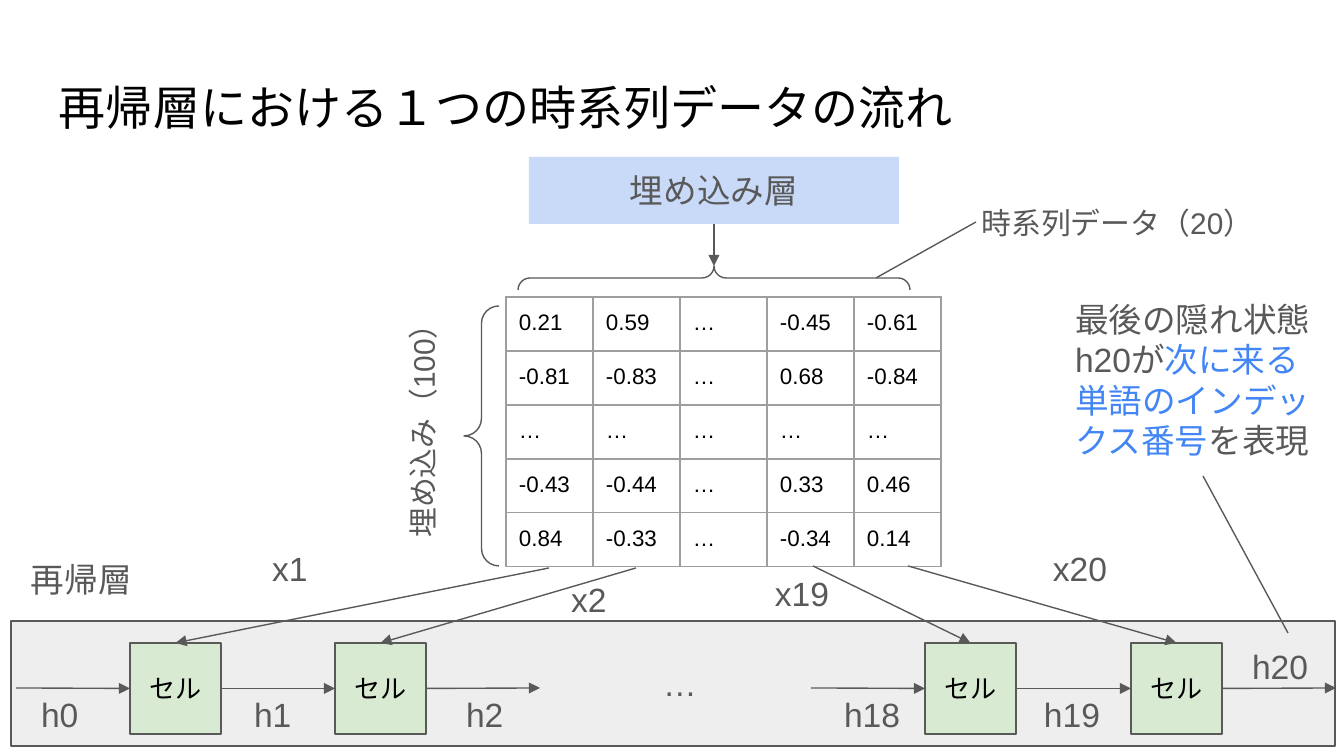
import pptx
import pptx.util
import pptx.dml.color
import pptx.enum.shapes
import pptx.enum.text
import pptx.oxml
import pptx.oxml.ns

SHAPE = pptx.enum.shapes.MSO_SHAPE
ALIGN = pptx.enum.text.PP_ALIGN
ANCHOR = pptx.enum.text.MSO_ANCHOR

SCALE = 914400 / 134.4
COLORS = {"panel": "EEEEEE", "embedding": "C9DAF8", "cell": "D9EAD3", "gray": "595959",
          "black": "000000", "blue": "4285F4", "border": "9E9E9E"}
FONT = "Arial"
LINE_WIDTH = 0.75
INSET = 13

TITLE = "再帰層における１つの時系列データの流れ"
MATRIX = [
    ["0.21", "0.59", "…", "-0.45", "-0.61"],
    ["-0.81", "-0.83", "…", "0.68", "-0.84"],
    ["…", "…", "…", "…", "…"],
    ["-0.43", "-0.44", "…", "0.33", "0.46"],
    ["0.84", "-0.33", "…", "-0.34", "0.14"],
]
TABLE_LEFT, TABLE_TOP, COL_W, ROW_H = 506, 297, 87, 54

PANEL = (11, 621, 1324, 125)
EMBEDDING = (529, 157, 370, 67)
CELL_LEFTS = [130, 335, 925, 1131]
CELL_TOP, CELL_SIZE = 643, 91
ARROW_LEN = 114
BRACES = [((464, 306, 35, 260), 0), ((702, 82, 24, 392), 90)]

LABEL_H = 67
LABELS = [  # text, left, top, width
    ("h0", 28, 681, 77), ("h1", 241, 681, 77), ("h2", 453, 681, 77),
    ("h18", 831, 681, 97), ("h19", 1031, 681, 105), ("h20", 1239, 633, 97),
    ("x1", 259, 535, 77), ("x2", 558, 566, 77),
    ("x19", 762, 560, 91), ("x20", 1040, 535, 91),
    ("再帰層", 18, 546, 134), ("…", 650, 650, 77),
]
AXIS_LABELS = [("埋め込み（100）", (288, 392, 271, 63), 270),
               ("時系列データ（20）", (926, 192, 383, 63), 0)]
CONCLUSION = [("最後の隠れ状態h20が", "gray"), ("次に来る単語のインデックス番号", "blue"),
              ("を表現", "gray")]
INPUT_STARTS = [(549, 568), (636, 568), (813, 566), (908, 566)]
POINTERS = [((976, 222), (876, 278)), ((1203, 476), (1288, 633))]


def px(n):
    return round(n * SCALE)


def box_emu(box):
    return [px(n) for n in box]


def rgb(name):
    return pptx.dml.color.RGBColor.from_string(COLORS[name])


def write(tf, runs, size, align=ALIGN.LEFT, anchor=ANCHOR.TOP):
    """Fill a text frame with one paragraph of (text, colour) runs."""
    frame = {"word_wrap": True, "vertical_anchor": anchor}
    frame.update({f"margin_{side}": px(INSET) for side in ("left", "right", "top", "bottom")})
    for name, value in frame.items():
        setattr(tf, name, value)
    p = tf.paragraphs[0]
    p.alignment = align
    for text, color in runs:
        r = p.add_run()
        r.text = text
        for name, value in {"name": FONT, "size": pptx.util.Pt(size)}.items():
            setattr(r.font, name, value)
        r.font.color.rgb = rgb(color)


def add_text(s, box, runs, size, align=ALIGN.LEFT, rotation=0):
    sp = s.shapes.add_textbox(*box_emu(box))
    sp.rotation = rotation
    write(sp.text_frame, runs, size, align)


def draw_line(line):
    line.color.rgb = rgb("gray")
    line.width = pptx.util.Pt(LINE_WIDTH)


def add_shape(s, kind, box, fill=None, outlined=True):
    sp = s.shapes.add_shape(kind, *box_emu(box))
    sp.shadow.inherit = False
    if fill:
        sp.fill.solid()
        sp.fill.fore_color.rgb = rgb(fill)
    else:
        sp.fill.background()
    if outlined:
        draw_line(sp.line)
    else:
        sp.line.fill.background()
    return sp


def add_line(s, start, end, arrow=True):
    """Join two ends, each a point or a (shape, side) pair."""
    points = [e if isinstance(e[0], int) else (0, 0) for e in (start, end)]
    c = s.shapes.add_connector(pptx.enum.shapes.MSO_CONNECTOR.STRAIGHT,
                               *box_emu(points[0] + points[1]))
    for e, connect in ((start, c.begin_connect), (end, c.end_connect)):
        if not isinstance(e[0], int):
            connect(*e)
    draw_line(c.line)
    qn = pptx.oxml.ns.qn
    if arrow:
        ln = c.line._get_or_add_ln()
        ln.append(ln.makeelement(qn("a:tailEnd"), {"type": "triangle"}))
    props = c._element.spPr
    props.append(props.makeelement(qn("a:effectLst"), {}))


def add_matrix(s):
    rows, cols = len(MATRIX), len(MATRIX[0])
    box = (TABLE_LEFT, TABLE_TOP, cols * COL_W, rows * ROW_H)
    table = s.shapes.add_table(rows, cols, *box_emu(box)).table
    table.first_row = table.horz_banding = False
    for col in table.columns:
        col.width = px(COL_W)
    for row, values in zip(table.rows, MATRIX):
        row.height = px(ROW_H)
        for cell, value in zip(row.cells, values):
            cell.fill.background()
            write(cell.text_frame, [(value, "black")], 12)
            for side in ("left", "right", "top", "bottom"):
                setattr(cell, f"margin_{side}", px(INSET))
            props = cell._tc.get_or_add_tcPr()
            for i, side in enumerate("LRTB"):
                props.insert(i, pptx.oxml.parse_xml(
                    f'<a:ln{side} {pptx.oxml.ns.nsdecls("a")} w="{pptx.util.Pt(LINE_WIDTH)}">'
                    f'<a:solidFill><a:srgbClr val="{COLORS["border"]}"/></a:solidFill>'
                    f'</a:ln{side}>'))


def main():
    prs = pptx.Presentation()
    prs.slide_width, prs.slide_height = px(1344), px(756)
    s = prs.slides.add_slide(prs.slide_layouts[6])

    add_shape(s, SHAPE.RECTANGLE, PANEL, "panel")
    add_text(s, (46, 66, 1253, 85), [(TITLE, "black")], 25.2)
    embedding = add_shape(s, SHAPE.RECTANGLE, EMBEDDING, "embedding", outlined=False)
    write(embedding.text_frame, [("埋め込み層", "gray")], 18, ALIGN.CENTER)
    add_matrix(s)
    for box, rotation in BRACES:
        brace = add_shape(s, SHAPE.LEFT_BRACE, box)
        brace.rotation = rotation
        brace.adjustments[0] = brace.adjustments[1] = 0.5

    cells = []
    for left in CELL_LEFTS:
        sp = add_shape(s, SHAPE.RECTANGLE, (left, CELL_TOP, CELL_SIZE, CELL_SIZE), "cell")
        write(sp.text_frame, [("セル", "black")], 14, ALIGN.CENTER, ANCHOR.MIDDLE)
        cells.append(sp)

    add_line(s, (embedding, 2), (714, 266))
    for start, cell in zip(INPUT_STARTS, cells):
        add_line(s, start, (cell, 0))
    mid = CELL_TOP + CELL_SIZE // 2
    for i in (0, 2):  # each pair of neighbouring cells: in, across, out
        first, second = cells[i:i + 2]
        out = CELL_LEFTS[i + 1] + CELL_SIZE + ARROW_LEN
        add_line(s, (CELL_LEFTS[i] - ARROW_LEN, mid), (first, 1))
        add_line(s, (first, 3), (second, 1))
        add_line(s, (second, 3), (out, mid))
    for start, end in POINTERS:
        add_line(s, start, end, arrow=False)

    for text, left, top, width in LABELS:
        add_text(s, (left, top, width, LABEL_H), [(text, "gray")], 18)
    for text, box, rotation in AXIS_LABELS:
        add_text(s, box, [(text, "gray")], 16, ALIGN.CENTER, rotation)
    add_text(s, (1062, 286, 282, 190), CONCLUSION, 18)

    prs.save("out.pptx")


if __name__ == "__main__":
    main()
